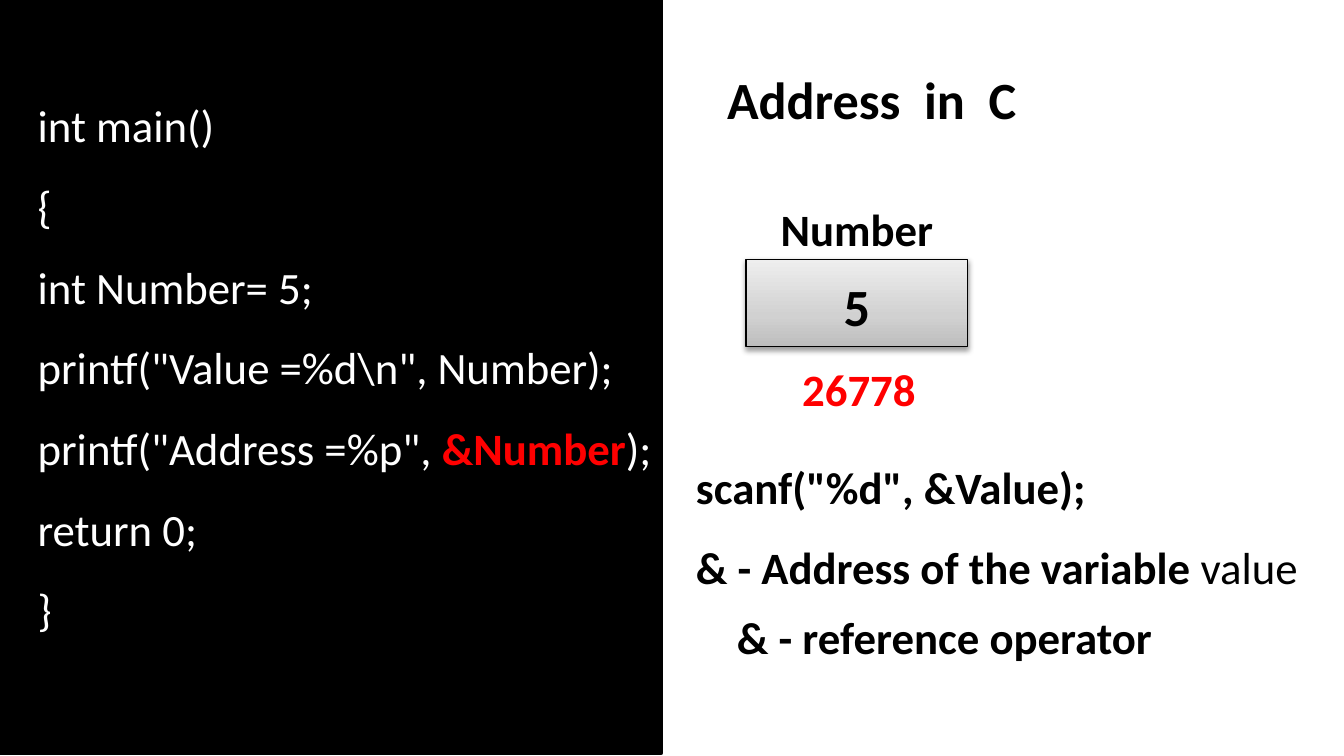
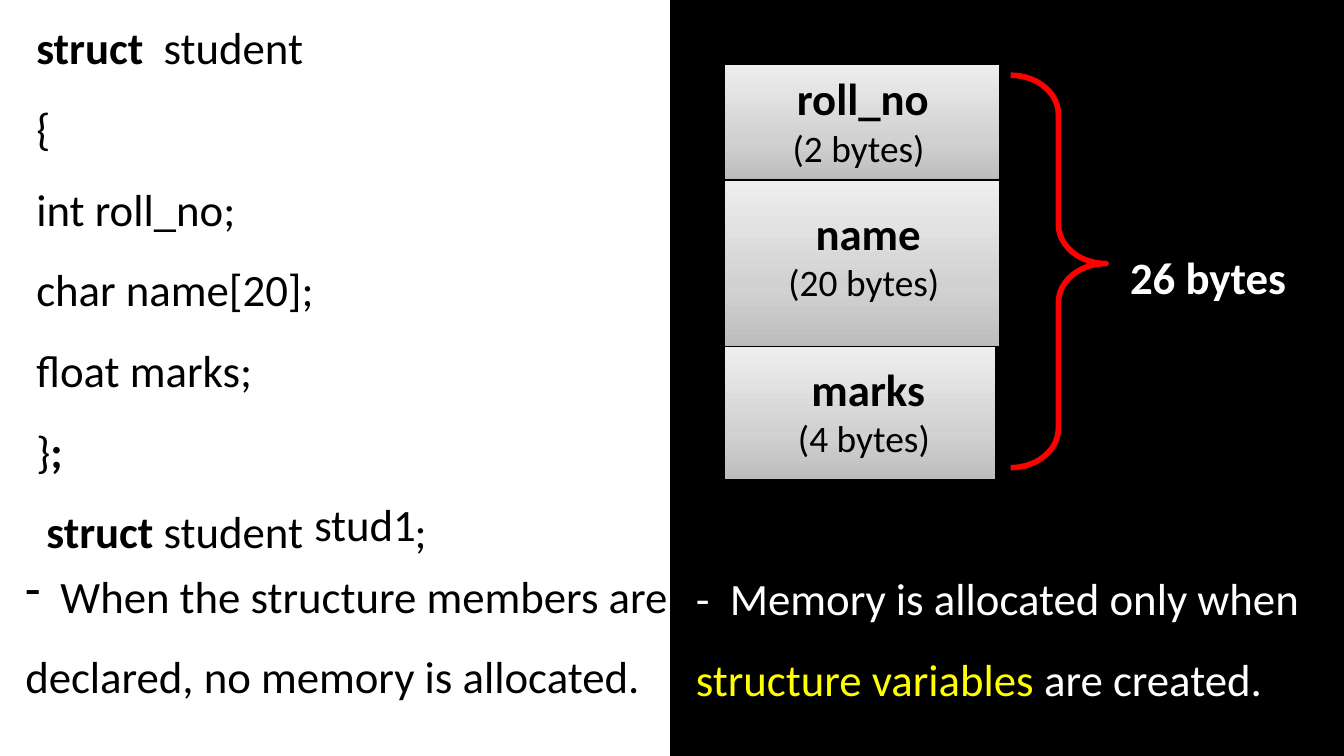
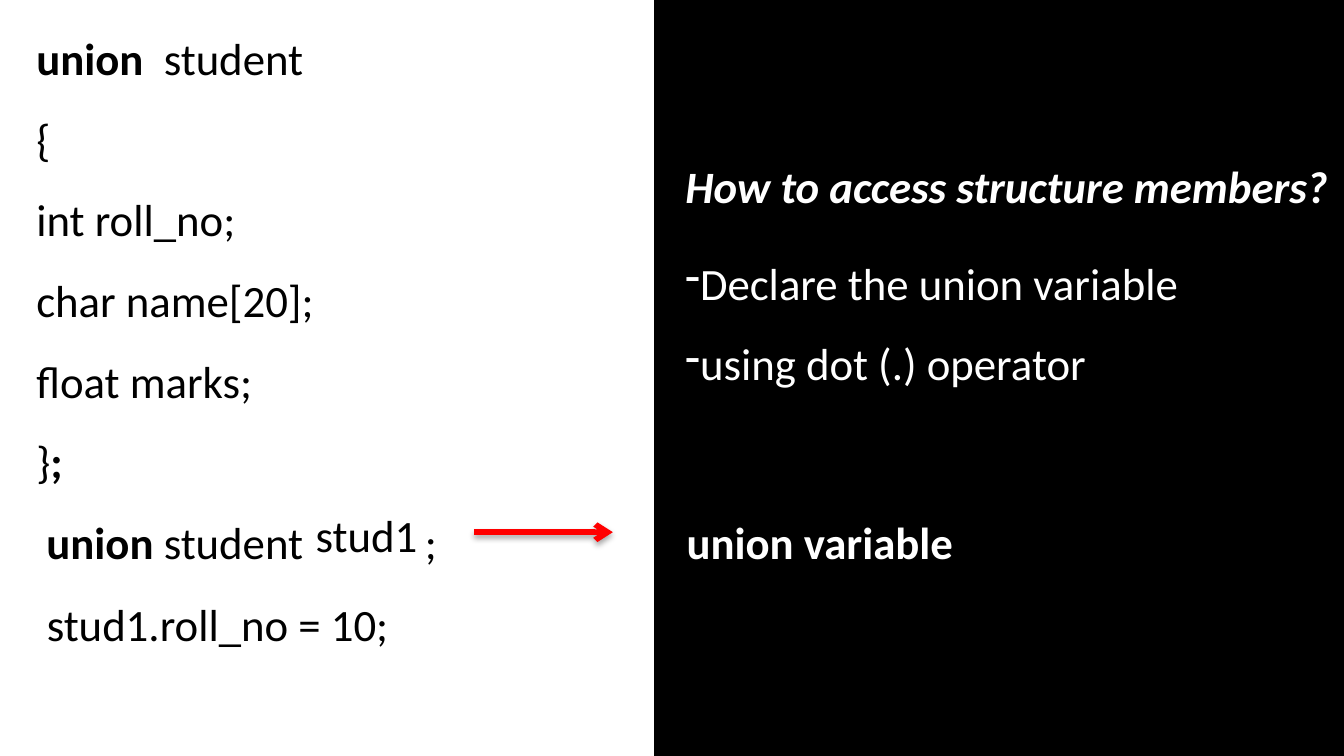
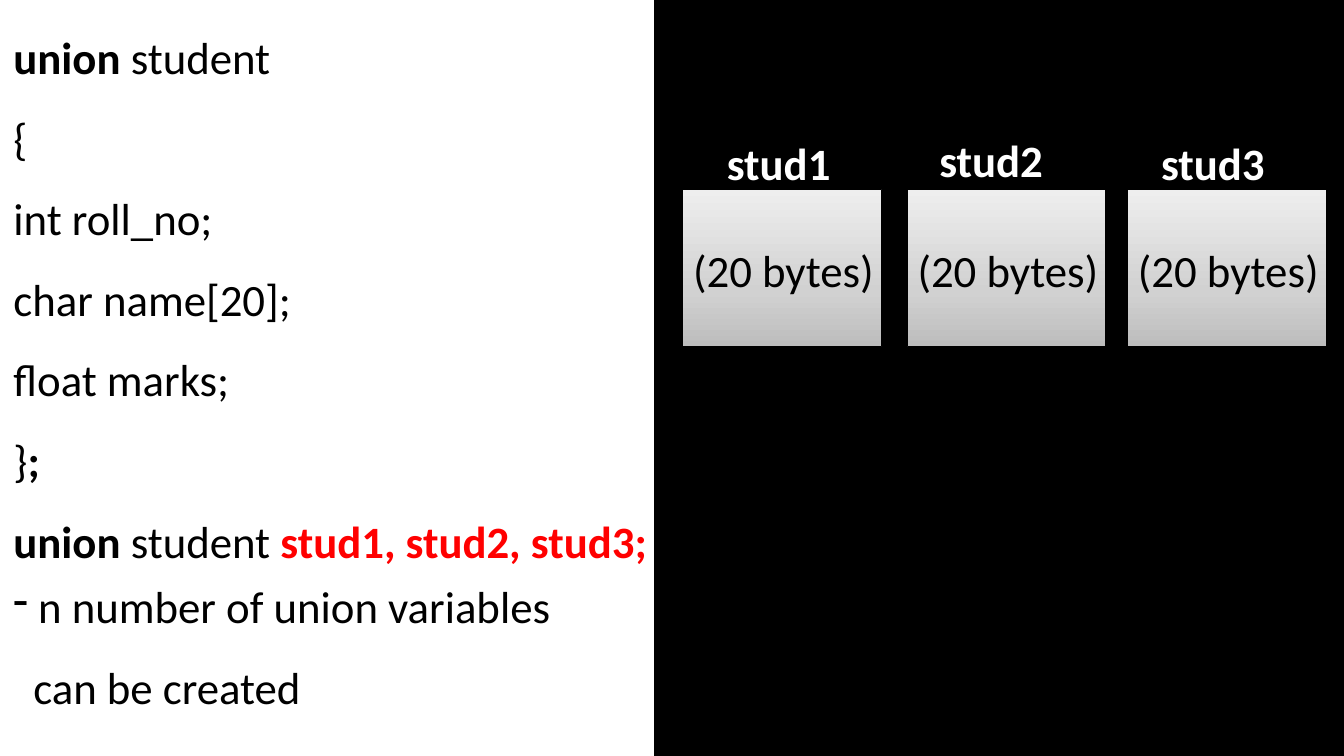
from dataclasses import dataclass, field
from typing import NamedTuple

from lxml.etree import SubElement
from pptx import Presentation
from pptx.dml.color import RGBColor
from pptx.enum.shapes import MSO_CONNECTOR, MSO_SHAPE
from pptx.enum.text import MSO_ANCHOR, MSO_AUTO_SIZE, PP_ALIGN
from pptx.oxml.ns import qn
from pptx.util import Inches, Pt

RECTANGLE, BRACE = MSO_SHAPE.RECTANGLE, MSO_SHAPE.RIGHT_BRACE
STRAIGHT = MSO_CONNECTOR.STRAIGHT
LEFT, CENTER = PP_ALIGN.LEFT, PP_ALIGN.CENTER
TOP, GROW = MSO_ANCHOR.TOP, MSO_AUTO_SIZE.SHAPE_TO_FIT_TEXT

# The grid: 100 columns and 56.25 rows, each a tenth of an inch
CELL = Inches(0.1)
COLUMNS, ROWS = 100, 56.25

FONT = "Calibri"
COLORS = {"black": "000000", "white": "FFFFFF", "red": "FF0000", "yellow": "FFFF00"}
BLOCK_GRADIENT = ((0, "BDBDBD"), (35, "D1D1D1"), (100, "EEEEEE"))


class Area(NamedTuple):
    """A place on the grid, in columns and rows."""
    left: float
    top: float
    width: float
    height: float

    def lengths(self) -> list[int]:
        return [round(value * CELL) for value in self]


class Shadow(NamedTuple):
    opacity: int
    distance: float


BLOCK_SHADOW = Shadow(38, 1.6)
LINE_SHADOW = Shadow(35, 1.8)


@dataclass
class Span:
    text: str
    format: dict = field(default_factory=dict)
    color: str = ""
    tracking: float = 0


@dataclass
class Line:
    spans: list[Span]
    bullet: str = ""
    indent: float = 0


@dataclass
class Note:
    area: Area
    lines: list[Line]
    color: str = "black"
    size: int = 24
    bold: bool = False
    spacing: float = 1.0
    align: PP_ALIGN = LEFT
    wrap: bool = True
    holder: int | None = None


TITLE, BODY = 0, 1


def bold(text: str, color: str = "") -> Span:
    return Span(text, {"bold": True}, color)


def plain(text: str, **options) -> Line:
    return Line([Span(text)], **options)


def rgb(name: str) -> RGBColor:
    return RGBColor.from_string(COLORS[name])


def set_values(target, values: dict) -> None:
    for name, value in values.items():
        setattr(target, name, value)


def add_shadow(shape, shadow: Shadow) -> None:
    effects = SubElement(shape._element.spPr, qn("a:effectLst"))
    outer = SubElement(effects, qn("a:outerShdw"), blurRad=str(Pt(3.1)),
                       dist=str(Pt(shadow.distance)), dir="5400000", rotWithShape="0")
    color = SubElement(outer, qn("a:srgbClr"), val=COLORS["black"])
    SubElement(color, qn("a:alpha"), val=str(shadow.opacity * 1000))


def set_line(shape, color: str, width: float) -> None:
    shape.line.color.rgb = rgb(color)
    shape.line.width = Pt(width)


def add_panel(page, left: float, width: float, top: float = 0) -> None:
    """Draw the black side of the page behind everything else."""
    panel = page.shapes.add_shape(RECTANGLE, *Area(left, top, width, ROWS).lengths())
    panel.fill.solid()
    panel.fill.fore_color.rgb = rgb("black")
    set_line(panel, "black", 2)
    panel.shadow.inherit = False
    page.shapes._spTree.insert(2, panel._element)


def add_block(page, area: Area) -> None:
    """Draw a memory cell, shaded from dark at its foot to light at its head."""
    block = page.shapes.add_shape(RECTANGLE, *area.lengths())
    block.fill.gradient()
    block.fill.gradient_angle = 90
    stops = block._element.spPr.find(qn("a:gradFill")).find(qn("a:gsLst"))
    for stop in list(stops):
        stops.remove(stop)
    for share, color in BLOCK_GRADIENT:
        stop = SubElement(stops, qn("a:gs"), pos=str(share * 1000))
        SubElement(stop, qn("a:srgbClr"), val=color)
    set_line(block, "black", 0.75)
    add_shadow(block, BLOCK_SHADOW)


def add_brace(page, area: Area) -> None:
    brace = page.shapes.add_shape(BRACE, *area.lengths())
    brace.adjustments[0], brace.adjustments[1] = 0.41, 0.48
    brace.fill.background()
    set_line(brace, "red", 3)
    add_shadow(brace, LINE_SHADOW)


def add_arrow(page, start: float, end: float, row: float) -> None:
    x1, x2, y = (round(value * CELL) for value in (start, end, row))
    arrow = page.shapes.add_connector(STRAIGHT, x1, y, x2, y)
    set_line(arrow, "red", 3)
    SubElement(arrow.line._get_or_add_ln(), qn("a:tailEnd"), type="arrow")
    add_shadow(arrow, LINE_SHADOW)


def format_para(para, line: Line, note: Note) -> None:
    set_values(para, {"alignment": note.align, "line_spacing": note.spacing,
                      "space_before": Pt(0)})
    props = para._p.get_or_add_pPr()
    props.set("marL", str(round(line.indent * CELL)))
    props.set("indent", "0")
    if line.bullet:
        SubElement(props, qn("a:buFontTx"))
        SubElement(props, qn("a:buChar"), char=line.bullet)
    else:
        SubElement(props, qn("a:buNone"))


def add_span(para, part: Span, note: Note) -> None:
    span = para.add_run()
    span.text = part.text
    set_values(span.font, {"name": FONT, "size": Pt(note.size),
                           "bold": note.bold} | part.format)
    span.font.color.rgb = rgb(part.color or note.color)
    if part.tracking:
        span._r.get_or_add_rPr().set("spc", str(round(part.tracking * 100)))


def add_note(page, note: Note) -> None:
    lengths = note.area.lengths()
    if note.holder is None:
        box = page.shapes.add_textbox(*lengths)
    else:
        box = page.placeholders[note.holder]
        set_values(box, dict(zip(("left", "top", "width", "height"), lengths)))
    frame = box.text_frame
    set_values(frame, {"word_wrap": note.wrap, "auto_size": GROW, "vertical_anchor": TOP})
    for number, line in enumerate(note.lines):
        para = frame.add_paragraph() if number else frame.paragraphs[0]
        format_para(para, line, note)
        for part in line.spans:
            add_span(para, part, note)


def add_label(page, text: str, area: Area, **options) -> None:
    add_note(page, Note(area, [plain(text)], **options))


def add_code(page, left: float, top: float, width: float, lines: list[Line],
             color: str = "black") -> None:
    add_note(page, Note(Area(left, top, width, 43.4), lines, color,
                        spacing=1.5, holder=BODY))


def record_code(keyword: str, name: str, variables: Line) -> list[Line]:
    """Give the declaration of a student record, then of its variables."""
    return [Line([bold(keyword), Span(name)]),
            *map(plain, ("{", "int roll_no;", "char name[20];", "float marks;")),
            Line([Span("}"), bold(";")]), variables]


def open_variable(keyword: str, gap: float) -> Line:
    """Declare a variable, leaving a gap in points where its name is set."""
    return Line([bold(f" {keyword} "), Span("student"),
                 Span(" ", tracking=gap), Span(";")])


def remove_empty_placeholders(page) -> None:
    for holder in list(page.placeholders):
        if not holder.text_frame.text:
            holder._element.getparent().remove(holder._element)


def build_address(page) -> None:
    add_panel(page, 0, 49.2, top=-0.2)
    add_label(page, "Address  in  C", Area(53.1, 4.5, 30.7, 5.7),
              size=28, bold=True, holder=TITLE)
    add_code(page, 1.8, 4.8, 52.4, [
        plain("int main()"), plain("{"), plain("int Number= 5;"),
        plain('printf("Value =%d\\n", Number);'),
        Line([Span('printf("Address =%p", '), bold("&Number", "red"), Span(");")]),
        plain("return 0;"), plain("}")], "white")
    add_label(page, " & - reference operator", Area(53.1, 42.9, 35.4, 7.1),
              bold=True, spacing=1.5)
    add_note(page, Note(Area(50.8, 31.7, 49.2, 13.1), [
        Line([bold('scanf("%d", &Value);')]),
        Line([bold("& - Address of the variable "), Span("value")])], spacing=1.5))
    add_block(page, Area(55.5, 19.3, 16.5, 6.5))
    add_label(page, "5", Area(59.4, 19.9, 8.7, 5.7), size=28, bold=True, align=CENTER)
    add_label(page, "26778", Area(58.7, 26.4, 10.5, 5), color="red", bold=True, wrap=False)
    add_label(page, "Number", Area(57.1, 14.5, 13.5, 5), bold=True, wrap=False)


def build_structure(page) -> None:
    add_panel(page, 50, 50.4)
    members = (
        ("roll_no", "(2 bytes) ", Area(53.9, 4.8, 20.5, 8.6), Area(57.1, 4.8, 14.2, 8.4)),
        ("name", "(20 bytes) ", Area(53.9, 13.4, 20.5, 12.4), Area(57.1, 14.8, 15, 8.4)),
        ("marks", "(4 bytes) ", Area(53.9, 25.8, 20.2, 9.9), Area(57.9, 26.4, 13.4, 8.4)))
    for name, size, block, caption in members:
        add_block(page, block)
        add_note(page, Note(caption, [
            Line([bold(name)]), Line([Span(size, {"size": Pt(20)})])], align=CENTER))
    add_brace(page, Area(75.2, 5.6, 7.1, 29.2))
    add_label(page, "26 bytes", Area(83.1, 18.1, 13.8, 5), color="white",
              bold=True, wrap=False)
    add_note(page, Note(Area(0.9, 39.8, 51.6, 13.1), [plain(
        "  When the structure members are declared, no memory is allocated.",
        bullet="-")], spacing=1.5))
    add_code(page, 1.7, -1, 43.3, record_code(
        "struct", "  student", open_variable("struct", 54.2)))
    add_label(page, "stud1", Area(22.4, 36.5, 9.7, 5), wrap=False)
    add_note(page, Note(Area(50.8, 40, 50, 13.1), [Line([
        Span("-  Memory is allocated only when "),
        Span("structure variables ", color="yellow"),
        Span("are created.")])], "white", spacing=1.5))


def build_union_access(page) -> None:
    add_panel(page, 48.8, 51.6)
    add_code(page, 1.7, -0.2, 43.3, record_code(
        "union", "  student", open_variable("union", 59.7)))
    add_note(page, Note(Area(50, 11.3, 50, 5), [Line([
        Span("How to access structure members?", {"italic": True})])],
        "white", bold=True, holder=TITLE))
    add_note(page, Note(Area(50, 16.5, 50, 13.1), [
        plain("Declare the union variable", bullet="-"),
        plain("using dot (.) operator", bullet="-")], "white", spacing=1.5))
    add_label(page, "union variable", Area(50.1, 37.8, 29.1, 5), color="white", bold=True)
    add_arrow(page, 35.3, 45.6, 39.6)
    add_label(page, "stud1", Area(22.5, 37.3, 9.7, 5), wrap=False)
    add_label(page, "stud1.roll_no = 10;", Area(2.5, 41.9, 43.3, 7.1), spacing=1.5)


def build_union_variables(page) -> None:
    add_panel(page, 48.8, 51.2)
    add_code(page, 0, -0.3, 50, record_code("union", " student", Line(
        [bold("union "), Span("student "), bold("stud1, stud2, stud3;", "red")])))
    add_note(page, Note(Area(0, 40.6, 43, 13.1), [
        plain(" n number of union variables", bullet="-"),
        plain("can be created", indent=1.5)], spacing=1.5))
    variables = (("stud1", Area(53.1, 9.6, 10.2, 5), 50.8),
                 ("stud2", Area(68.9, 9.4, 10.2, 5), 67.5),
                 ("stud3", Area(85.4, 9.6, 10.2, 5), 83.9))
    for name, label, block_left in variables:
        add_label(page, name, label, color="white", bold=True)
        add_block(page, Area(block_left, 14.1, 14.8, 11.7))
        add_label(page, "(20 bytes) ", Area(block_left - 0.3, 17.6, 15.6, 5), align=CENTER)


def main() -> None:
    deck = Presentation()
    deck.slide_width, deck.slide_height = round(COLUMNS * CELL), round(ROWS * CELL)
    for build in (build_address, build_structure, build_union_access, build_union_variables):
        page = deck.slides.add_slide(deck.slide_layouts[1])
        build(page)
        remove_empty_placeholders(page)
    deck.save("out.pptx")


if __name__ == "__main__":
    main()
